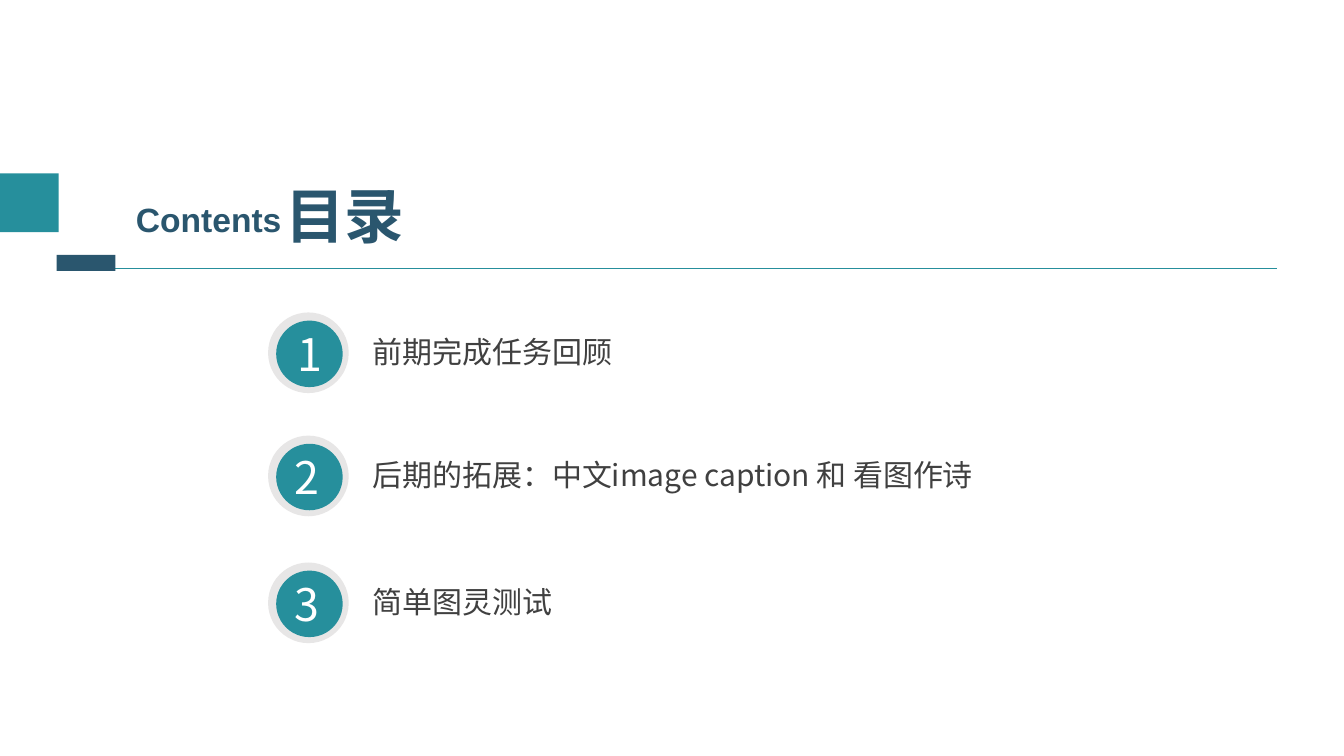
from lxml.etree import SubElement
from pptx import Presentation
from pptx.dml.color import RGBColor
from pptx.enum.shapes import MSO_CONNECTOR, MSO_SHAPE
from pptx.enum.text import MSO_AUTO_SIZE
from pptx.oxml.ns import qn
from pptx.util import Pt

TEAL, NAVY, GREY, INK, WHITE = "268F9C", "2A566E", "E7E6E6", "404040", "FFFFFF"
CJK = "Noto Sans CJK SC"


def rgb(value):
    """Turn a hex string into a colour."""
    return RGBColor.from_string(value)


def add_text(slide, text, x, y, w, h, size, color, font=CJK, bold=False):
    """Add a one-line text box that fits its text."""
    tf = slide.shapes.add_textbox(Pt(x), Pt(y), Pt(w), Pt(h)).text_frame
    tf.word_wrap = True
    tf.auto_size = MSO_AUTO_SIZE.SHAPE_TO_FIT_TEXT
    r = tf.paragraphs[0].add_run()
    r.text = text
    r.font.size, r.font.bold, r.font.name = Pt(size), bold, font
    r.font.color.rgb = rgb(color)
    SubElement(r.font._element, qn("a:ea")).set("typeface", font)


def add_block(slide, kind, x, y, w, h, color):
    """Add a filled shape without outline."""
    sp = slide.shapes.add_shape(kind, Pt(x), Pt(y), Pt(w), Pt(h))
    sp.shadow.inherit = False
    sp.fill.solid()
    sp.fill.fore_color.rgb = rgb(color)
    sp.line.fill.background()


def add_rule(slide, x1, x2, y):
    """Add a thin horizontal line."""
    line = slide.shapes.add_connector(MSO_CONNECTOR.STRAIGHT, Pt(x1), Pt(y), Pt(x2), Pt(y))
    line.line.color.rgb = rgb(TEAL)
    line.line.width = Pt(0.75)
    SubElement(line._element.spPr, qn("a:effectLst"))


def add_header(slide, x, y, w):
    """Draw the heading with its blocks and rule."""
    add_rule(slide, x + 42.5, x + w, y + 67.7)
    add_text(slide, "目录", x + 196.6, y + 0.7, 123.1, 59, 42.6, NAVY, bold=True)
    add_text(slide, "Contents", x + 90, y + 15.1, 148.3, 36, 24, NAVY, "Arial", True)
    add_block(slide, MSO_SHAPE.RECTANGLE, x, y, 42, 42, TEAL)
    add_block(slide, MSO_SHAPE.RECTANGLE, x + 40.5, y + 58.3, 42, 11.5, NAVY)


def add_item(slide, number, text, x, y, w, indent):
    """Draw a numbered badge with its topic."""
    add_block(slide, MSO_SHAPE.OVAL, x, y, 57.6, 57.6, GREY)
    add_block(slide, MSO_SHAPE.OVAL, x + 5.8, y + 5.8, 47.5, 47.5, TEAL)
    add_text(slide, number, x + indent, y + 6.8, 34.6, 46, 32, WHITE)
    add_text(slide, text, x + 67.7, y + 11.5, w - 67.7, 33, 21.4, INK)


def build_contents(slide):
    """Build the contents slide."""
    add_header(slide, 0, 123.8, 912.2)
    items = [
        ("1", "前期完成任务回顾", 223.2, 13.7),
        ("2", "后期的拓展：中文image caption 和 看图作诗", 311.2, 11.5),
        ("3", "简单图灵测试", 401.8, 11.5),
    ]
    for number, text, y, indent in items:
        add_item(slide, number, text, 191.5, y, 720.7, indent)


def main():
    """Create and save the presentation."""
    prs = Presentation()
    prs.slide_width, prs.slide_height = Pt(960), Pt(540)
    build_contents(prs.slides.add_slide(prs.slide_layouts[6]))
    prs.save("out.pptx")


if __name__ == "__main__":
    main()
